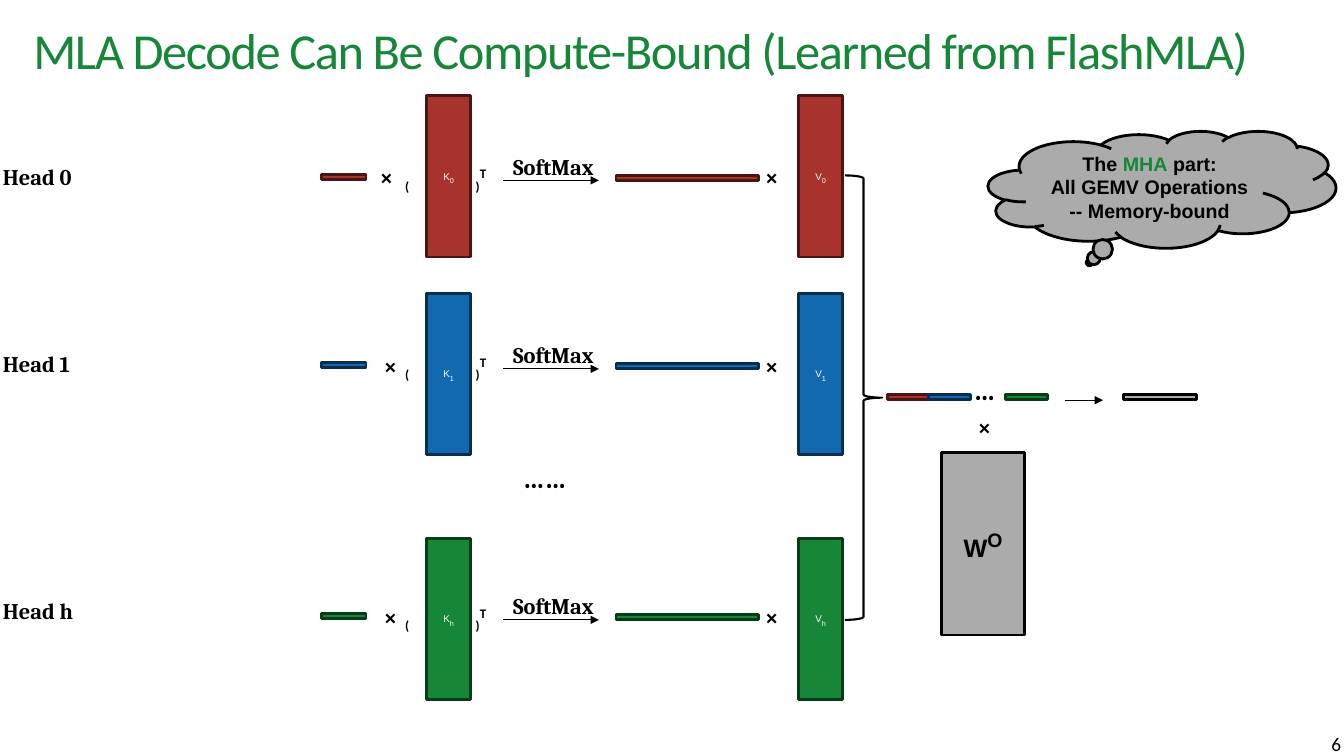
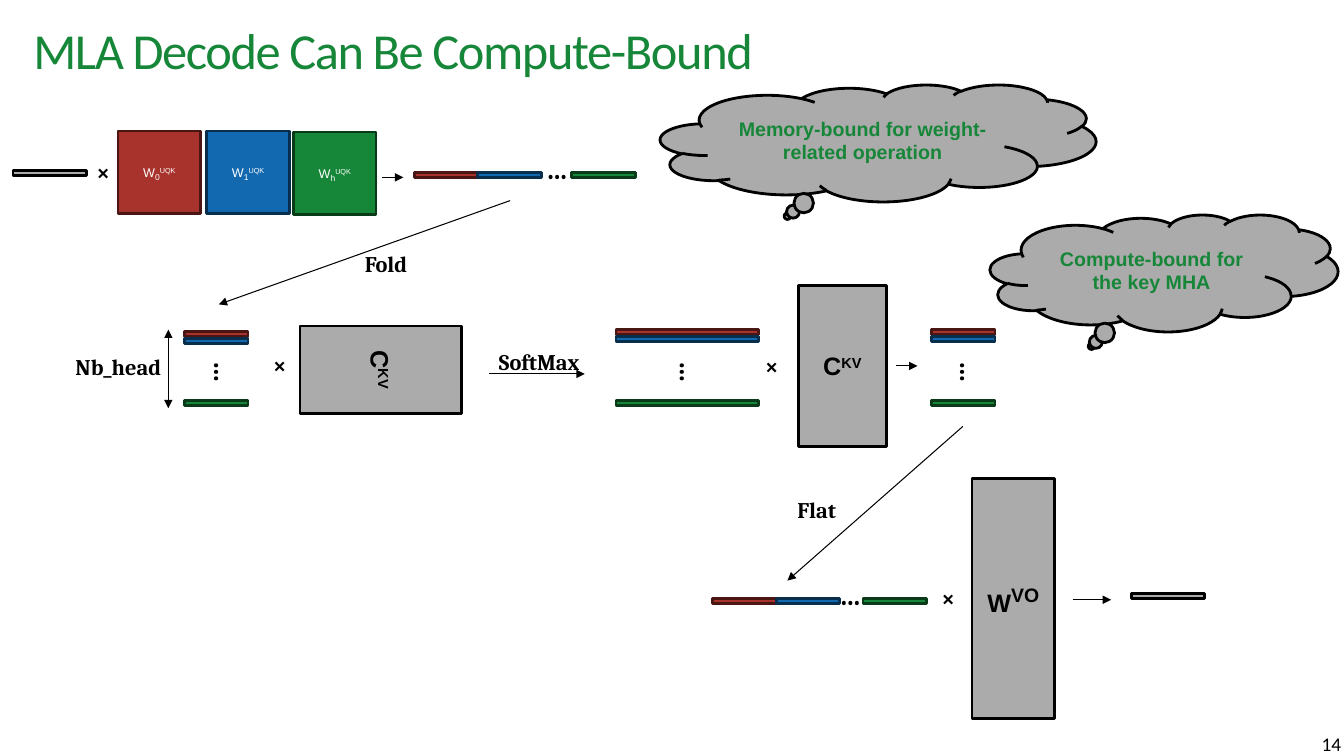
from dataclasses import dataclass

from lxml import etree
from pptx import Presentation
from pptx.dml.color import RGBColor
from pptx.enum import shapes, text
from pptx.oxml.ns import qn
from pptx.util import Inches, Pt


@dataclass(frozen=True)
class Theme:
    # fill and outline pairs
    red: tuple = ("A8322C", "4A1613")
    blue: tuple = ("1269B0", "082E4D")
    green: tuple = ("168638", "0A3B19")
    gray: tuple = ("ABABAB", "000000")
    open: tuple = (None, "000000")
    # font, size, bold, colour
    title: tuple = ("Calibri", 36, False, "168638")
    page: tuple = ("Calibri", 13.8, False, "000000")
    label: tuple = ("Cambria", 16, True, "000000")
    dots: tuple = ("Cambria", 20, True, "000000")
    paren: tuple = ("Calibri", 16, True, "000000")
    cell: tuple = ("Arial", 7, False, "FFFFFF")
    index: tuple = ("Arial", 9, False, "FFFFFF")
    weight: tuple = ("Arial", 9, False, "FFFFFF")
    sub: tuple = ("Arial", 10.5, False, "FFFFFF")
    big: tuple = ("Arial", 18, True, "000000")
    power: tuple = ("Arial", 24, True, "000000")
    note: tuple = ("Arial", 14, True, "000000")
    key: tuple = ("Arial", 14, True, "168638")


T = Theme()
KIND = shapes.MSO_SHAPE
LOW, HIGH = -25, 30
BAR = 0.05
TONES = (T.red, T.blue, T.green)
MARKS = "01h"


def put(page, box, tone, *lines, kind=KIND.RECTANGLE, turn=0):
    """Add a toned shape, or a plain label without tone.

    Each line is a list of runs: (words, style, optional baseline shift).
    """
    area = [Inches(n) for n in box]
    if tone:
        item = page.shapes.add_shape(kind, *area)
        item.shadow.inherit = False
        fill, edge = tone
        if fill:
            item.fill.solid()
            item.fill.fore_color.rgb = RGBColor.from_string(fill)
        else:
            item.fill.background()
        item.line.color.rgb = RGBColor.from_string(edge)
        item.line.width = Pt(2)
    else:
        item = page.shapes.add_textbox(*area)
        item.text_frame.margin_right = 0
    item.rotation = turn
    frame = item.text_frame
    frame.word_wrap = True
    for n, line in enumerate(lines):
        para = frame.add_paragraph() if n else frame.paragraphs[0]
        para.alignment = text.PP_ALIGN.CENTER if tone else text.PP_ALIGN.LEFT
        for words, style, *base in line:
            run = para.add_run()
            run.text = words
            font = run.font
            font.name, size, font.bold, color = style
            font.size = Pt(size)
            font.color.rgb = RGBColor.from_string(color)
            if base:
                run._r.get_or_add_rPr().set("baseline", str(base[0] * 1000))
    return item


def arrow(page, start, end, both=False):
    ends = [Inches(n) for n in (*start, *end)]
    line = page.shapes.add_connector(shapes.MSO_CONNECTOR.STRAIGHT, *ends)
    line.line.color.rgb = RGBColor.from_string("000000")
    line.line.width = Pt(0.75)
    edge = line.line._get_or_add_ln()
    for tag in ("a:headEnd", "a:tailEnd") if both else ("a:tailEnd",):
        etree.SubElement(edge, qn(tag)).set("type", "triangle")
    etree.SubElement(line._element.spPr, qn("a:effectLst"))


deck = Presentation()
deck.slide_width, deck.slide_height = Inches(13.33), Inches(7.5)
pages = []
for name, number in (
    ("MLA Decode Can Be Compute-Bound (Learned from FlashMLA)", "6"),
    ("MLA Decode Can Be Compute-Bound", "14"),
):
    page = deck.slides.add_slide(deck.slide_layouts[5])
    head = page.shapes.title
    head.left, head.top = Inches(0.33), Inches(0.19)
    head.width, head.height = Inches(12.73), Inches(0.68)
    frame = head.text_frame
    frame.text = name
    frame.auto_size = text.MSO_AUTO_SIZE.NONE
    frame.vertical_anchor = text.MSO_ANCHOR.MIDDLE
    frame.margin_left = frame.margin_right = 0
    frame.margin_top = frame.margin_bottom = 0
    para = frame.paragraphs[0]
    para.alignment = text.PP_ALIGN.LEFT
    para.line_spacing = 0.9
    run = para.runs[0]
    run.font.name, size, run.font.bold, color = T.title
    run.font.size = Pt(size)
    run.font.color.rgb = RGBColor.from_string(color)
    run._r.get_or_add_rPr().set("spc", "-100")

    foot = put(page, (12.47, 7.2, 0.93, 0.34), None, [(number, T.page)])
    foot.text_frame.margin_right = Inches(0.1)
    foot.text_frame.vertical_anchor = text.MSO_ANCHOR.BOTTOM
    foot.text_frame.paragraphs[0].alignment = text.PP_ALIGN.RIGHT
    pages.append(page)

# Attention heads, one row each
heads, fold = pages
for tone, mark, top, mid, name, cross in zip(
    TONES, MARKS, (0.95, 2.91, 5.34), (1.57, 3.44, 5.93),
    (1.57, 3.42, 5.88), (3.67, 3.71, 3.71),
):
    put(heads, (-0.07, name, 1.41, 0.37), None, [(f"Head {mark}", T.label)])
    put(heads, (3.19, mid + 0.16, 0.44, BAR), tone)
    put(heads, (6.11, mid + 0.17, 1.41, BAR), tone)
    for left in (cross, 7.49):
        put(heads, (left, mid, 0.32, 0.37), None, [("×", T.label)])
    put(heads, (3.92, mid, 0.32, 0.28), None, [("(", T.paren, LOW)])
    put(heads, (4.62, mid, 0.32, 0.28), None,
        [(")", T.paren, LOW), ("T", T.paren, HIGH)])
    for left, name in ((4.23, "K"), (7.92, "V")):
        put(heads, (left, top, 0.44, 1.6), tone,
            [(name, T.cell), (mark, T.index, LOW)])
    put(heads, (4.99, mid - 0.1, 1.41, 0.37), None, [("SoftMax", T.label)])
    arrow(heads, (4.99, mid + 0.22), (5.94, mid + 0.22))
put(heads, (5.09, 4.52, 1.45, 0.44), None, [("……", T.dots)])

# Joined heads and output weight
brace = put(heads, (8.38, 1.74, 0.37, 4.41), T.open, kind=KIND.RIGHT_BRACE)
brace.line.width = Pt(1.5)
put(heads, (9.6, 4.05, 0.32, 0.37), None, [("×", T.label)])
put(heads, (9.34, 4.49, 0.82, 1.81), T.gray,
    [("W", T.big), ("O", T.power, HIGH)])
put(heads, (11.14, 3.91, 0.73, BAR), T.gray)
arrow(heads, (10.56, 3.97), (10.94, 3.97))

# Strips of three heads in a row
for page, lefts, top, width, dots in (
    (heads, (8.8, 9.21, 9.97), 3.91, 0.42, 9.56),
    (fold, (4.11, 4.74, 5.67), 1.71, 0.63, 5.32),
    (fold, (7.07, 7.7, 8.56), 5.94, 0.63, 8.23),
):
    for left, tone in zip(lefts, TONES):
        put(page, (left, top, width, BAR), tone)
    put(page, (dots, top - 0.26, 0.48, 0.44), None, [("…", T.dots)])

# Query weights
put(fold, (0.13, 1.69, 0.73, BAR), T.gray)
for left, top, tone, mark in zip(
    (1.17, 2.05, 2.91), (1.3, 1.3, 1.31), TONES, MARKS
):
    put(fold, (left, top, 0.82, 0.82), tone,
        [("W", T.weight), (mark, T.sub, LOW), ("UQK", T.weight, HIGH)])

# Stacks of heads
for left, top, width, dots in (
    (1.83, 3.29, 0.63, 1.99), (6.11, 3.27, 1.41, 6.61), (9.24, 3.27, 0.63, 9.39)
):
    for y, tone in zip((top, top + 0.07, 3.97), TONES):
        put(fold, (left, y, width, BAR), tone)
    put(fold, (dots, 3.51, 0.48, 0.44), None, [("…", T.dots)], turn=90)

# Shared cache and output weight
for left, top, turn in ((3.34, 2.87, 90), (7.92, 2.83, 0)):
    put(fold, (left, top, 0.87, 1.6), T.gray,
        [("C", T.big), ("KV", T.big, HIGH)], turn=turn)
put(fold, (9.64, 4.75, 0.82, 2.38), T.gray,
    [("W", T.big), ("VO", T.power, HIGH)])
put(fold, (11.22, 5.89, 0.73, BAR), T.gray)

for left, top in ((0.86, 1.52), (2.61, 3.43), (7.49, 3.44), (9.24, 5.75)):
    put(fold, (left, top, 0.32, 0.37), None, [("×", T.label)])
for left, top, name in (
    (4.85, 3.4, "SoftMax"), (3.52, 2.43, "Fold"),
    (7.81, 4.87, "Flat"), (0.65, 3.45, "Nb_head"),
):
    put(fold, (left, top, 1.41, 0.37), None, [(name, T.label)])
for start, end in (
    ((3.79, 1.76), (4, 1.76)), ((4.85, 3.71), (5.8, 3.71)),
    ((8.89, 3.63), (9.1, 3.63)), ((10.64, 5.95), (11.02, 5.95)),
    ((5.06, 1.99), (2.17, 3.02)), ((9.55, 4.23), (7.81, 5.76)),
):
    arrow(fold, start, end)
arrow(fold, (1.67, 3.27), (1.67, 4.05), both=True)

# Thought clouds
for page, left, top, width, lines in (
    (heads, 9.8, 1.3, 3.45, (
        [("The ", T.note), ("MHA", T.key), (" part:", T.note)],
        [("All GEMV Operations", T.note)],
        [("-- Memory-bound", T.note)],
    )),
    (fold, 6.55, 0.84, 4.32,
     ([("Memory-bound for weight-related operation", T.key)],)),
    (fold, 9.82, 2.13, 3.45, ([("Compute-bound for the key MHA", T.key)],)),
):
    put(page, (left, top, width, 1.16), T.gray, *lines, kind=KIND.CLOUD_CALLOUT)

deck.save("out.pptx")
